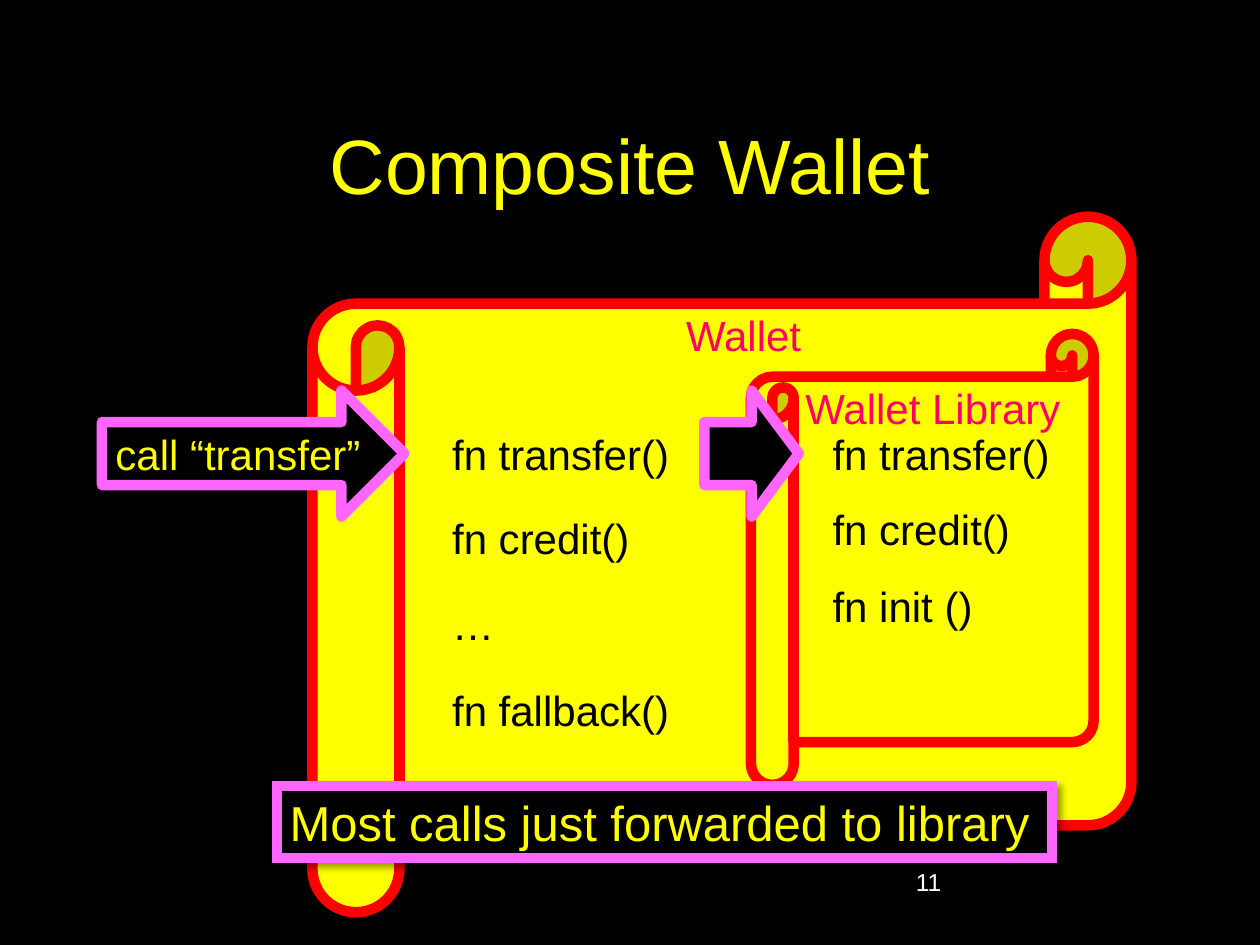
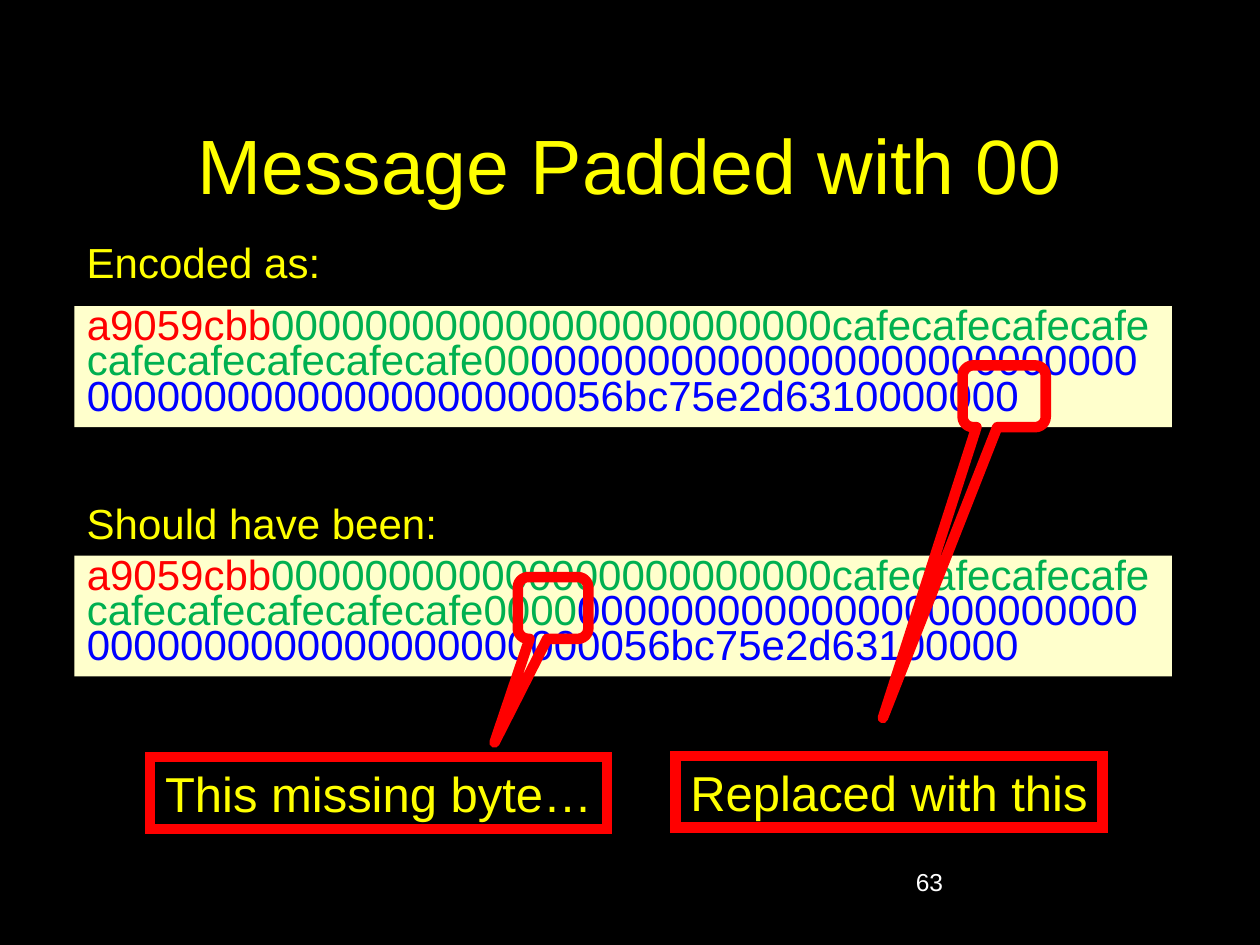
from dataclasses import dataclass
from typing import Any, NamedTuple

from lxml.etree import SubElement
from pptx import Presentation
from pptx.dml.color import RGBColor
from pptx.enum.shapes import MSO_SHAPE
from pptx.enum.text import MSO_ANCHOR, MSO_AUTO_SIZE, PP_ALIGN
from pptx.oxml.ns import qn
from pptx.presentation import Presentation as Deck
from pptx.slide import Slide
from pptx.util import Emu, Pt

EMU_PER_PX = 9144  # 100 px to the inch


@dataclass(frozen=True)
class Theme:
    font: str = "Arial"
    black: str = "000000"
    white: str = "FFFFFF"
    yellow: str = "FFFF00"
    cream: str = "FFFFCC"
    red: str = "FF0000"
    rose: str = "FF0066"
    pink: str = "FF66FF"
    green: str = "00B050"
    blue: str = "0000FF"
    title_size: int = 44
    note_size: int = 28
    body_size: int = 24
    number_size: int = 14
    line_width: int = 6


THEME = Theme()


class Box(NamedTuple):
    left: int
    top: int
    width: int
    height: int


class Run(NamedTuple):
    text: str
    color: str


@dataclass(frozen=True)
class Text:
    runs: tuple[Run, ...]
    size: int = THEME.body_size
    align: PP_ALIGN = PP_ALIGN.LEFT
    anchor: MSO_ANCHOR = MSO_ANCHOR.TOP
    wrap: bool = False
    grow: bool = False
    line_spacing: float = 1.0


@dataclass(frozen=True)
class Item:
    box: Box
    kind: MSO_SHAPE = MSO_SHAPE.RECTANGLE
    text: Text | None = None
    fill: str | None = None
    line: str | None = None
    shadow: bool = False
    adjustments: tuple[float, ...] = ()


def px(length: int) -> Emu:
    return Emu(length * EMU_PER_PX)


def place(box: Box) -> list[Emu]:
    return [px(length) for length in box]


def apply_format(target: Any, values: dict[str, Any]) -> None:
    for name, value in values.items():
        setattr(target, name, value)


def write_text(shape: Any, text: Text) -> None:
    frame = shape.text_frame
    apply_format(frame, {
        "word_wrap": text.wrap,
        "vertical_anchor": text.anchor,
        "auto_size": MSO_AUTO_SIZE.SHAPE_TO_FIT_TEXT if text.grow else MSO_AUTO_SIZE.NONE,
    })
    paragraph = frame.paragraphs[0]
    apply_format(paragraph, {"alignment": text.align, "line_spacing": text.line_spacing})
    for part in text.runs:
        run = paragraph.add_run()
        run.text = part.text
        apply_format(run.font, {"name": THEME.font, "size": Pt(text.size)})
        run.font.color.rgb = RGBColor.from_string(part.color)


def add_text(slide: Slide, box: Box, text: Text) -> None:
    write_text(slide.shapes.add_textbox(*place(box)), text)


def add_shadow(shape: Any) -> None:
    effects = shape._element.spPr.find(qn("a:effectLst"))
    outer = SubElement(effects, qn("a:outerShdw"), blurRad=str(Pt(4)),
                       dist=str(Pt(3)), dir="2700000", rotWithShape="0")
    color = SubElement(outer, qn("a:srgbClr"), val=THEME.black)
    SubElement(color, qn("a:alpha"), val="40000")


def add_item(slide: Slide, item: Item) -> None:
    shape = slide.shapes.add_shape(item.kind, *place(item.box))
    for index, value in enumerate(item.adjustments):
        shape.adjustments[index] = value
    if item.fill:
        shape.fill.solid()
        shape.fill.fore_color.rgb = RGBColor.from_string(item.fill)
    else:
        shape.fill.background()
    if item.line:
        shape.line.color.rgb = RGBColor.from_string(item.line)
        shape.line.width = Pt(THEME.line_width)
        # Square corners on rectangles, round joins elsewhere
        join = "a:miter" if item.kind == MSO_SHAPE.RECTANGLE else "a:round"
        SubElement(shape.line._get_or_add_ln(), qn(join))
    else:
        shape.line.fill.background()
    shape.shadow.inherit = False
    if item.shadow:
        add_shadow(shape)
    if item.text:
        write_text(shape, item.text)


def add_slide(presentation: Deck, title: str, number: int) -> Slide:
    """Start a slide with the shared background, title and slide number."""
    slide = presentation.slides.add_slide(presentation.slide_layouts[6])
    slide.background.fill.solid()
    slide.background.fill.fore_color.rgb = RGBColor.from_string(THEME.black)
    add_text(slide, Box(75, 67, 850, 125), Text(
        (Run(title, THEME.yellow),), THEME.title_size, PP_ALIGN.CENTER,
        MSO_ANCHOR.MIDDLE, wrap=True))
    add_text(slide, Box(717, 683, 208, 50), Text(
        (Run(str(number), THEME.white),), THEME.number_size, wrap=True))
    return slide


def add_note(slide: Slide, box: Box, words: str, line: str, align: PP_ALIGN) -> None:
    text = Text((Run(words, THEME.yellow),), THEME.note_size, align, grow=True)
    add_item(slide, Item(box, text=text, fill=THEME.black, line=line, shadow=True))


def add_functions(slide: Slide, left: int, bottom: int, names: tuple[str, ...]) -> None:
    """Spread function names evenly from the common first row to bottom."""
    top = 335
    for index, name in enumerate(names):
        row = top + (bottom - top) * index // (len(names) - 1)
        add_text(slide, Box(left, row, 194, 50),
                 Text((Run(name, THEME.black),), grow=True))


def build_wallet(presentation: Deck) -> None:
    slide = add_slide(presentation, "Composite Wallet", 11)

    # Wallet scroll with the library scroll inside
    for box, name in (
        (Box(248, 172, 650, 552), "Wallet"),
        (Box(596, 265, 272, 358), "Wallet Library"),
    ):
        add_item(slide, Item(box, MSO_SHAPE.HORIZONTAL_SCROLL,
                             Text((Run(name, THEME.rose),), align=PP_ALIGN.CENTER),
                             THEME.yellow, THEME.red))
    add_functions(slide, 349, 538, ("fn transfer()", "fn credit()", "…", "fn fallback()"))
    add_functions(slide, 651, 456, ("fn transfer()", "fn credit()", "fn init ()"))

    # Call and forwarding arrows
    call = Text((Run("call “transfer”", THEME.yellow),), align=PP_ALIGN.RIGHT,
                anchor=MSO_ANCHOR.MIDDLE, grow=True)
    for left, width, text in ((81, 240, call), (559, 75, None)):
        add_item(slide, Item(Box(left, 310, width, 100), MSO_SHAPE.RIGHT_ARROW,
                             text, THEME.black, THEME.pink))

    add_note(slide, Box(220, 624, 615, 57), "Most calls just forwarded to library",
             THEME.pink, PP_ALIGN.LEFT)


def build_padding(presentation: Deck) -> None:
    slide = add_slide(presentation, "Message Padded with 00", 63)

    # Encoded messages: selector, address, amount
    selector = "a9059cbb"
    address = "000000000000000000000000cafecafecafecafecafecafecafecafecafe"
    amount = "0000000000000000000000000000000000000000000000056bc75e2d63100000"
    for heading, heading_top, message_top, address_end, amount_end in (
        ("Encoded as:", 183, 243, "00", "00"),
        ("Should have been:", 390, 441, "0000", ""),
    ):
        message = Text((
            Run(selector, THEME.red),
            Run(address + address_end, THEME.green),
            Run(amount + amount_end, THEME.blue),
        ), wrap=True, line_spacing=0.7)
        # The message covers the shadow of its heading
        add_item(slide, Item(Box(59, heading_top, 320, 50),
                             text=Text((Run(heading, THEME.yellow),), wrap=True, grow=True),
                             fill=THEME.black, shadow=True))
        add_item(slide, Item(Box(59, message_top, 871, 96), text=message, fill=THEME.cream))

    # Callouts around the misplaced byte and their notes
    for callout, adjustments, note, words in (
        (Box(411, 458, 56, 49), (-0.83, 2.18, 0.17), Box(119, 601, 363, 57), "This missing byte…"),
        (Box(764, 290, 66, 49), (-1.46, 5.21, 0.17), Box(536, 600, 339, 57), "Replaced with this"),
    ):
        add_item(slide, Item(callout, MSO_SHAPE.ROUNDED_RECTANGULAR_CALLOUT,
                             line=THEME.red, adjustments=adjustments))
        add_note(slide, note, words, THEME.red, PP_ALIGN.CENTER)


def main() -> None:
    presentation = Presentation()
    apply_format(presentation, {"slide_width": px(1000), "slide_height": px(750)})
    build_wallet(presentation)
    build_padding(presentation)
    presentation.save("out.pptx")


if __name__ == "__main__":
    main()
